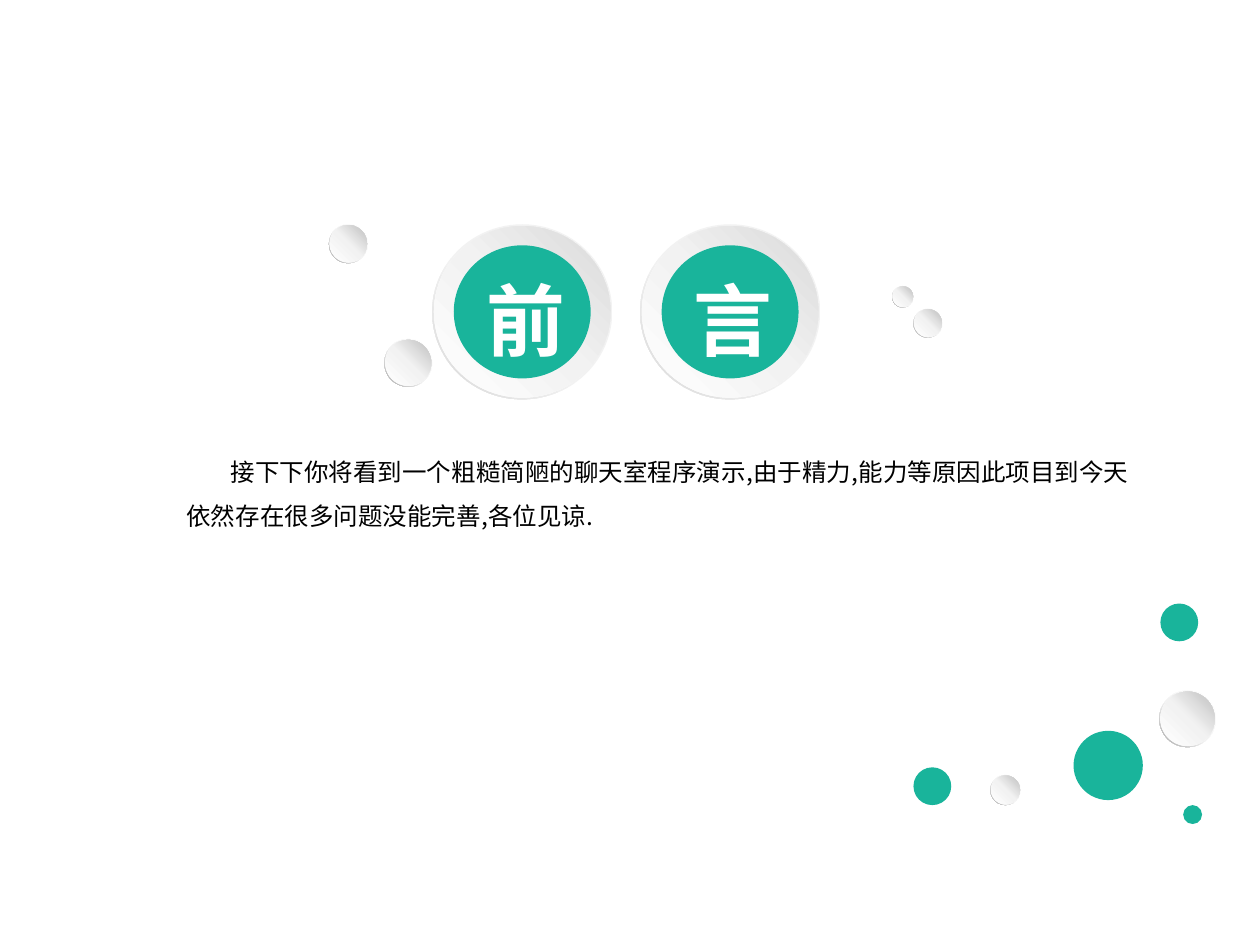
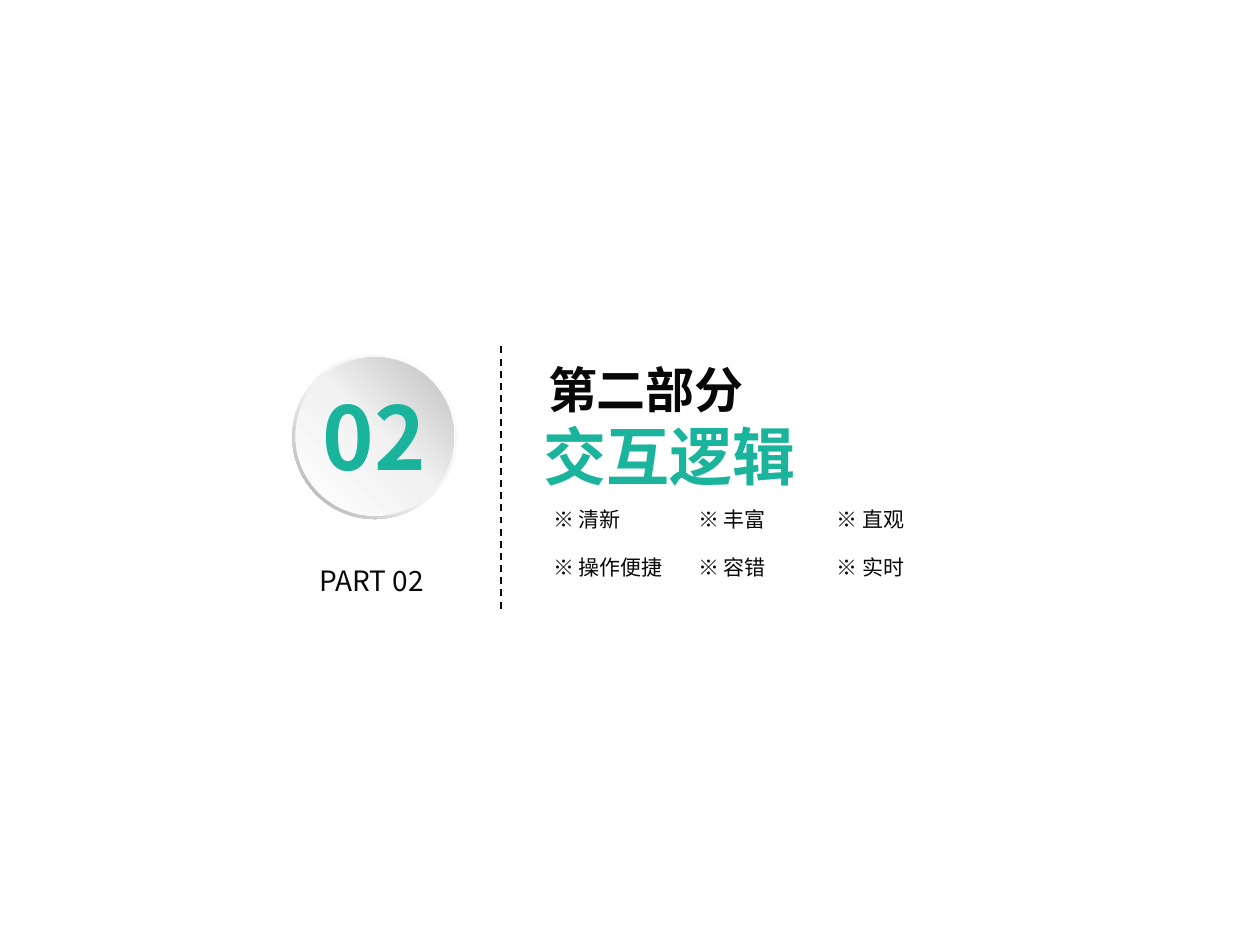
from dataclasses import dataclass

from lxml import etree
from pptx import Presentation, util as u
from pptx.dml.color import RGBColor
from pptx.enum import dml, shapes, text
from pptx.oxml import ns

COLS, ROWS = 100, 75  # slide grid; every length below is in its cells


@dataclass(frozen=True)
class Theme:
    font: str = "Noto Sans CJK SC"
    accent: str = "19B49B"
    ink: str = "080808"
    black: str = "000000"
    white: str = "FFFFFF"
    # Gradient stops as (position, colour)
    badge_rim: tuple = ((0, "F2F2F2"), (55, "F2F2F2"), (100, "D9D9D9"))
    badge_dome: tuple = ((0, "FFFFFF"), (51, "F2F2F2"), (100, "D9D9D9"))
    bead_rim: tuple = ((0, "FFFFFF"), (55, "F2F2F2"), (100, "A6A6A6"))
    bead_dome: tuple = ((0, "FFFFFF"), (51, "F2F2F2"), (100, "BFBFBF"))
    item: int = 12
    body: int = 14
    caption: int = 16
    heading: int = 28
    title: int = 36
    badge: int = 45
    number: int = 50


T = Theme()


@dataclass(frozen=True)
class Box:
    x: float
    y: float
    w: float
    h: float

    def at(self, dx, dy, w, h):
        """A box offset from this one by grid cells."""
        return Box(self.x + dx, self.y + dy, w, h)

    def share(self, fx, fy, fw, fh):
        """A box given as shares of this one."""
        return self.at(fx * self.w, fy * self.h, fw * self.w, fh * self.h)

    def emu(self, prs):
        cw, rh = prs.slide_width / COLS, prs.slide_height / ROWS
        return [round(n) for n in
                (self.x * cw, self.y * rh, self.w * cw, self.h * rh)]


# --- Shared drawing helpers ---

def gradient_fill(sp, stops, angle):
    sp.fill.gradient()
    grad = sp._element.spPr.find(ns.qn("a:gradFill"))
    gs_list = grad.find(ns.qn("a:gsLst"))
    for gs in list(gs_list):
        gs_list.remove(gs)
    for pos, colour in stops:
        gs = etree.SubElement(gs_list, ns.qn("a:gs"), pos=str(pos * 1000))
        etree.SubElement(gs, ns.qn("a:srgbClr"), val=colour)
    grad.find(ns.qn("a:lin")).set("ang", str(angle * 60000))


def add_round(prs, parent, box, fill, kind=shapes.MSO_SHAPE.OVAL, angle=315):
    sp = parent.add_shape(kind, *box.emu(prs))
    sp.shadow.inherit = False
    sp.line.fill.background()
    if isinstance(fill, str):
        sp.fill.solid()
        sp.fill.fore_color.rgb = RGBColor.from_string(fill)
    else:
        gradient_fill(sp, fill, angle)
    return sp


def add_dome(prs, parent, box, rim, dome, inset):
    ring = add_round(prs, parent, box, rim, shapes.MSO_SHAPE.DONUT, 135)
    ring.adjustments[0] = 0.05
    add_round(prs, parent, box.share(inset, inset, 1 - 2 * inset, 1 - 2 * inset), dome)


def add_bead(prs, s, box):
    add_dome(prs, s.shapes.add_group_shape().shapes, box,
             T.bead_rim, T.bead_dome, 0.02)


def setup_frame(tf, insets=(0.1, 0.05)):
    mx, my = (u.Inches(n) for n in insets)
    settings = dict(margin_left=mx, margin_right=mx, margin_top=my, margin_bottom=my,
                    word_wrap=True, auto_size=text.MSO_AUTO_SIZE.NONE,
                    vertical_anchor=text.MSO_ANCHOR.TOP)
    for name, value in settings.items():
        setattr(tf, name, value)


def write(p, words, size, colour=T.ink, bold=False, align=text.PP_ALIGN.LEFT,
          spacing=1.0, indent=0):
    for name, value in dict(alignment=align, line_spacing=spacing,
                            space_before=u.Pt(0)).items():
        setattr(p, name, value)
    pPr = p._p.get_or_add_pPr()
    pPr.set("marL", "0")
    pPr.set("indent", str(u.Inches(indent)))
    etree.SubElement(pPr, ns.qn("a:buNone"))
    r = p.add_run()
    r.text = words
    for name, value in dict(name=T.font, size=u.Pt(size), bold=bold).items():
        setattr(r.font, name, value)
    r.font.color.rgb = RGBColor.from_string(colour)
    etree.SubElement(r._r.get_or_add_rPr(), ns.qn("a:ea"), typeface=T.font)


def add_label(prs, parent, box, words, size, insets=(0, 0), **style):
    sp = parent.add_textbox(*box.emu(prs))
    setup_frame(sp.text_frame, insets)
    write(sp.text_frame.paragraphs[0], words, size, **style)


def move(prs, sp, box):
    sp.left, sp.top, sp.width, sp.height = box.emu(prs)


# --- Preface slide ---

def preface_badges(prs, s, box, letters):
    pitch = 16.5
    for i, letter in enumerate(letters):
        badge = box.at(i * pitch, 0, 14.3, box.h)
        group = s.shapes.add_group_shape().shapes
        add_dome(prs, group, badge, T.badge_rim, T.badge_dome, 0.01)
        add_round(prs, group, badge.share(0.12, 0.12, 0.76, 0.76), T.accent)
        add_label(prs, group, badge.at(3.3, 3.3, 10.4, 8.5), letter, T.badge,
                  insets=(0.1, 0.05), colour=T.white, bold=True)


def scatter(prs, s, box, beads=(), dots=()):
    """Grey beads and flat dots, each as (column, row, diameter) in the box."""
    for dx, dy, d in beads:
        add_bead(prs, s, box.at(dx, dy, d, d))
    for dx, dy, d in dots:
        add_round(prs, s.shapes, box.at(dx, dy, d, d), T.accent)


def preface_slide(prs, letters, message):
    s = prs.slides.add_slide(prs.slide_layouts[1])
    title = s.shapes.title._element
    title.getparent().remove(title)  # the badges carry the heading

    body = s.placeholders[1]
    move(prs, body, Box(13.8, 34.6, 78.2, 8))
    setup_frame(body.text_frame)
    write(body.text_frame.paragraphs[0], message, T.body, T.black,
          spacing=1.5, indent=0.35)

    preface_badges(prs, s, Box(34.3, 17.8, 30.8, 13.9), letters)
    # Left, right and corner clusters
    scatter(prs, s, Box(26.1, 17.8, 8.2, 12.9),
            beads=[(0, 0, 3.1), (4.4, 9.1, 3.8)])
    scatter(prs, s, Box(70.8, 22.7, 4, 4.1),
            beads=[(0, 0, 1.7), (1.7, 1.8, 2.3)])
    scatter(prs, s, Box(72.5, 47.9, 24, 17.5),
            beads=[(6.1, 13.6, 2.4), (19.5, 6.9, 4.5)],
            dots=[(0, 13, 3), (12.7, 10.1, 5.5), (19.6, 0, 3), (21.4, 16, 1.5)])


# --- Section slide ---

def section_number(prs, s, box, number):
    add_bead(prs, s, box.at(0, 0, box.w, box.w))
    add_label(prs, s.shapes, box.at(2.4, 2.3, 9.9, 8.4), number, T.number,
              colour=T.accent, bold=True)
    add_label(prs, s.shapes, box.at(2.15, 16.6, 9.9, 2.7), f"PART {number}", T.caption)


def section_title(prs, s, box, part, name):
    title = s.shapes.title
    move(prs, title, box)
    tf = title.text_frame
    # Narrow side insets keep the name on one line
    setup_frame(tf, insets=(0.03, 0.05))
    write(tf.paragraphs[0], part, T.heading, bold=True, indent=0.11)
    write(tf.add_paragraph(), name, T.title, T.accent, bold=True,
          align=text.PP_ALIGN.CENTER)


def section_items(prs, s, box, rows):
    columns, row_pitch = (0, 11.5, 22.5), 3.8
    for i, row in enumerate(rows):
        for dx, item in zip(columns, row):
            add_label(prs, s.shapes, box.at(dx, i * row_pitch, 11, 2.7),
                      f"※ {item}", T.item, insets=(0.07, 0.03))


def divider(prs, s, box):
    x, y, w, h = box.emu(prs)
    line = s.shapes.add_connector(shapes.MSO_CONNECTOR.STRAIGHT, x, y + h, x, y)
    line.line.color.rgb = RGBColor.from_string(T.ink)
    line.line.width = u.Pt(1)
    line.line.dash_style = dml.MSO_LINE.DASH
    etree.SubElement(line._element.spPr, ns.qn("a:effectLst"))


def section_slide(prs, number, part, name, rows):
    s = prs.slides.add_slide(prs.slide_layouts[5])
    section_title(prs, s, Box(42.1, 28, 22, 11.7), part, name)
    divider(prs, s, Box(39.75, 27.3, 0, 21))
    section_number(prs, s, Box(23.2, 28.1, 13.1, 19.3), number)
    section_items(prs, s, Box(43.2, 39.9, 33.7, 6.5), rows)


def main():
    prs = Presentation()
    prs.slide_width, prs.slide_height = u.Inches(10), u.Inches(7.5)
    preface_slide(prs, "前言", "接下下你将看到一个粗糙简陋的聊天室程序演示,由于精力,"
                  "能力等原因此项目到今天依然存在很多问题没能完善,各位见谅.")
    section_slide(prs, "02", "第二部分", "交互逻辑",
                  [("清新", "丰富", "直观"), ("操作便捷", "容错", "实时")])
    prs.save("out.pptx")


if __name__ == "__main__":
    main()
